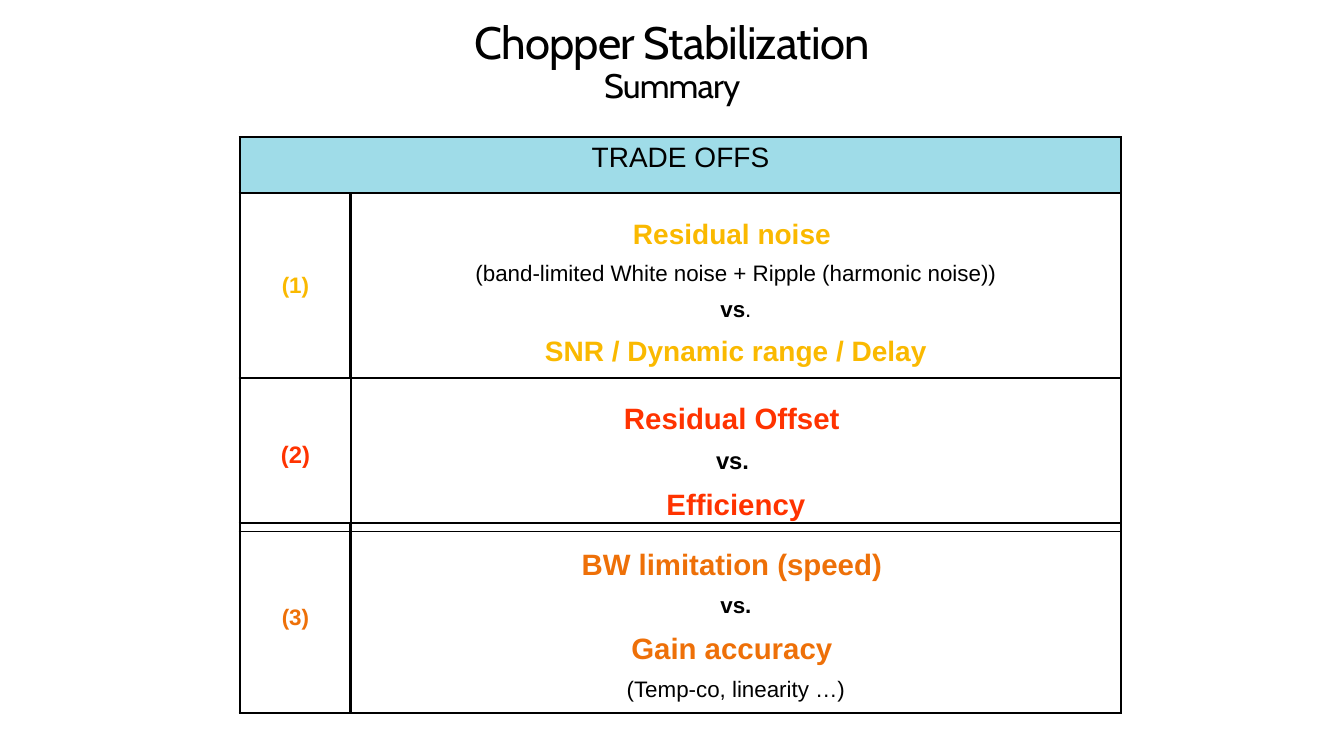
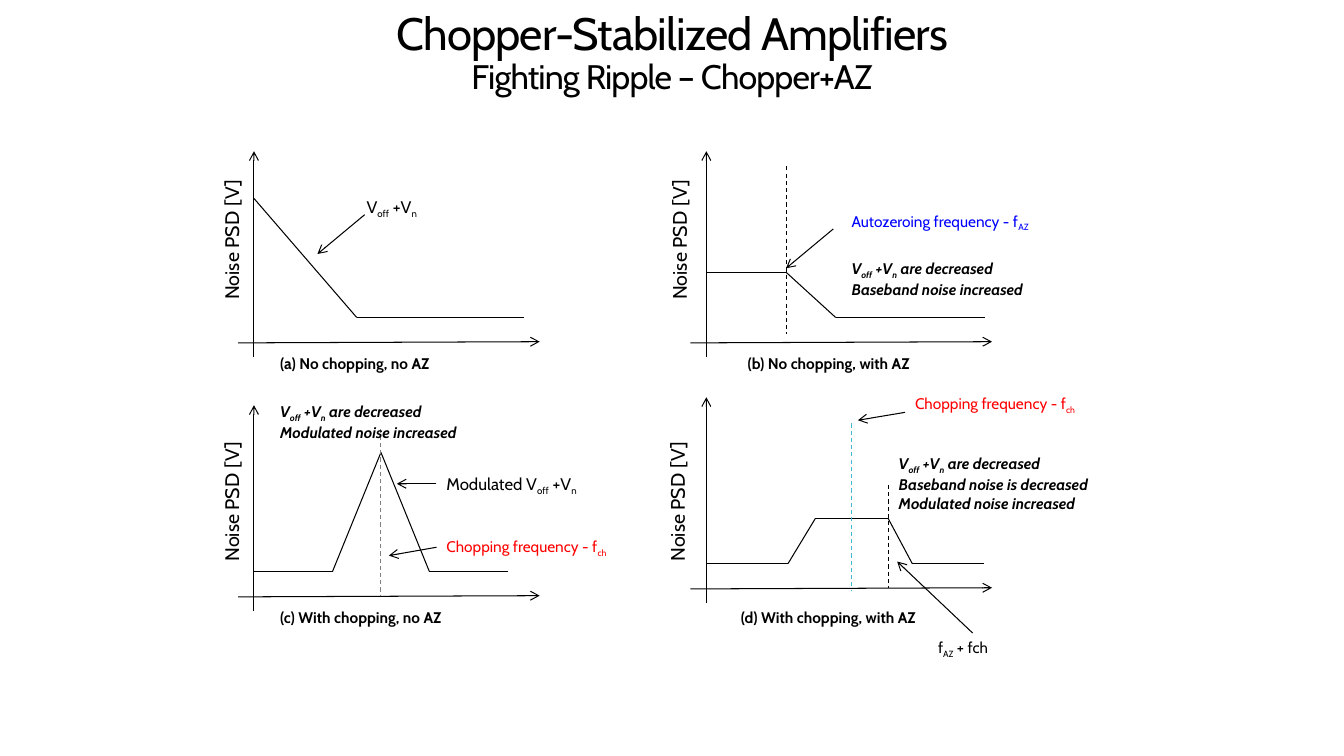
from itertools import pairwise

from lxml import etree
from pptx import Presentation
from pptx import util as u
from pptx.dml.color import RGBColor
from pptx.enum import dml, shapes, text
from pptx.oxml.ns import qn

BLACK, RED, BLUE, TEAL, GREY = "000000", "FF0000", "0000FF", "40BAD2", "808080"
YELLOW, SCARLET, ORANGE, HEADER = "FAB900", "FF3300", "EE7008", "9FDCE8"


def write(tf, s, size=11, color=BLACK, font="Cabin", bold=False, italic=False,
          align=None, leading=None, before=None, spacing=None, join=False):
    for line_text in s.split("\n"):
        p = tf.paragraphs[-1]
        if p.runs and not join:
            p = tf.add_paragraph()
        p.alignment, p.line_spacing = align, leading
        if before:
            p.space_before = u.Pt(before)
        for i, part in enumerate(line_text.split("_")):
            if not part:
                continue
            r = p.add_run()
            r.text = part
            r.font.name, r.font.size = font, u.Pt(size)
            r.font.bold, r.font.italic = bold, italic
            r.font.color.rgb = RGBColor.from_string(color)
            rPr = r._r.get_or_add_rPr()
            if i % 2:
                rPr.set("baseline", "-25000")
            if spacing:
                rPr.set("spc", str(spacing))


def line(s, start, end, color=BLACK, arrow=False, dash=False):
    c = s.shapes.add_connector(shapes.MSO_CONNECTOR.STRAIGHT,
                               *[u.Cm(v) for v in (*start, *end)])
    c.line.color.rgb = RGBColor.from_string(color)
    c.line.width = u.Pt(0.75)
    if dash:
        c.line.dash_style = dml.MSO_LINE.DASH
    spPr = c._element.spPr
    if arrow:
        etree.SubElement(spPr.find(qn("a:ln")), qn("a:tailEnd"), type="arrow")
    etree.SubElement(spPr, qn("a:effectLst"))


prs = Presentation()
prs.slide_width, prs.slide_height = u.Cm(33.87), u.Cm(19.05)
CENTER = text.PP_ALIGN.CENTER
MIDDLE = text.MSO_ANCHOR.MIDDLE

titles = [
    (0.53, "Chopper Stabilization", "Summary"),
    (0.3, "Chopper-Stabilized Amplifiers", "Fighting Ripple – Chopper+AZ"),
]
for top, heading, subheading in titles:
    s = prs.slides.add_slide(prs.slide_layouts[6])
    tf = s.shapes.add_textbox(u.Cm(1.52), u.Cm(top), u.Cm(30.84), u.Cm(2.13)).text_frame
    tf.word_wrap = True
    tf.vertical_anchor = MIDDLE
    write(tf, heading, size=32.4, align=CENTER, leading=0.9, spacing=-60)
    write(tf, subheading, size=24.3, align=CENTER, leading=0.9, spacing=-60)

summary, ripple = prs.slides

trade_offs = [
    (3.45, [1.42, 4.65], "(1)", 16, YELLOW, (1.5, 1), 2.25, [
        ("Residual noise ", 20, YELLOW, True),
        ("(band-limited White noise + Ripple (harmonic noise))", 16, BLACK, False),
        ("vs", 16, BLACK, True),
        (".", 16, BLACK, False),
        ("SNR / Dynamic range / Delay", 20, YELLOW, True)]),
    (9.52, [3.68], "(2)", 17, SCARLET, (1, 1), 1.5, [
        ("Residual Offset ", 21, SCARLET, True),
        ("vs. ", 17, BLACK, True),
        ("Efficiency", 21, SCARLET, True)]),
    (13.18, [4.67], "(3)", 16, ORANGE, (1, 1.5), 2.25, [
        ("BW limitation (speed) ", 21, ORANGE, True),
        ("vs.", 16, BLACK, True),
        ("Gain accuracy ", 21, ORANGE, True),
        ("(Temp-co, linearity …)", 16, BLACK, False)]),
]
for top, heights, number, size, color, (first, last), divider, lines in trade_offs:
    tbl = summary.shapes.add_table(len(heights), 2, u.Cm(6.05), u.Cm(top),
                                   u.Cm(22.2), u.Cm(sum(heights))).table
    tbl.first_row = tbl.horz_banding = False
    tbl.columns[0].width, tbl.columns[1].width = u.Cm(2.79), u.Cm(19.41)
    for row, height in zip(tbl.rows, heights):
        row.height = u.Cm(height)
    body = len(heights) - 1
    for i in range(len(heights)):
        for j in range(2):
            cell = tbl.cell(i, j)
            header = i < body
            inner = 2.25 if header else divider
            widths = {"a:lnL": inner if j else 2.25, "a:lnR": 2.25 if j else inner,
                      "a:lnT": first if i == 0 else 1.5, "a:lnB": 1.5 if header else last}
            tcPr = cell._tc.get_or_add_tcPr()
            for side, width in widths.items():
                ln = etree.SubElement(tcPr, qn(side), w=str(u.Pt(width)))
                fill = etree.SubElement(ln, qn("a:solidFill"))
                etree.SubElement(fill, qn("a:srgbClr"), val=BLACK)
            if header:
                cell.fill.solid()
                cell.fill.fore_color.rgb = RGBColor.from_string(HEADER)
            else:
                cell.fill.background()
                cell.vertical_anchor = MIDDLE
    if body:
        tbl.cell(0, 0).merge(tbl.cell(0, 1))
        write(tbl.cell(0, 0).text_frame, "TRADE OFFS", size=20, font="Arial",
              align=CENTER, before=4)
    write(tbl.cell(body, 0).text_frame, number, size=size, color=color, font="Arial",
          bold=True, align=CENTER, before=3)
    for content, pts, tint, bold in lines:
        write(tbl.cell(body, 1).text_frame, content, size=pts, color=tint, font="Arial",
              bold=bold, align=CENTER, leading=1.45, join=content == ".")

axes = [
    (6.4, 3.81, 5.41, 3.99),
    (17.8, 3.81, 16.69, 3.99),
    (6.4, 10.21, 5.41, 10.59),
    (17.8, 10.01, 16.64, 10.59),
]
for x, top, label_x, label_y in axes:
    line(ripple, (x, top + 5.18), (x, top), arrow=True)
    line(ripple, (x - 0.4, top + 4.83), (x + 7.2, top + 4.8), arrow=True)
    tf = ripple.shapes.add_textbox(u.Cm(label_x), u.Cm(label_y),
                                   u.Cm(1.12), u.Cm(3.81)).text_frame
    tf.word_wrap = True
    tf._txBody.bodyPr.set("vert", "vert270")
    write(tf, "Noise PSD [V]", size=14)

curves = [
    [(6.4, 5), (8.99, 8), (13.21, 8)],
    [(17.8, 6.86), (19.81, 6.86), (21.06, 8), (24.82, 8)],
    [(6.4, 14.4), (8.38, 14.4), (9.6, 11.4), (10.82, 14.4), (12.8, 14.4)],
    [(17.8, 14.2), (19.86, 14.2), (20.55, 13.06), (22.38, 13.06), (22.99, 14.2), (24.79, 14.2)],
]
for curve in curves:
    for start, end in pairwise(curve):
        line(ripple, start, end)

markers = [
    (19.81, 4.19, 8.41, BLACK),
    (9.6, 10.8, 15.01, GREY),
    (21.46, 10.67, 14.86, TEAL),
    (22.4, 12.22, 14.81, BLACK),
]
for x, top, bottom, color in markers:
    line(ripple, (x, top), (x, bottom), color=color, dash=True)

pointers = [
    ((9.19, 5.41), (8, 6.4)),
    ((21, 5.77), (19.81, 6.76)),
    ((11, 12.19), (10, 12.19)),
    ((11, 13.79), (9.8, 14)),
    ((22.81, 10.39), (21.62, 10.59)),
    ((24.51, 15.95), (22.61, 14.15)),
]
for start, end in pointers:
    line(ripple, start, end, arrow=True)

caption = {"bold": True}
remark = {"bold": True, "italic": True}
decreased = "V_off_ +V_n_ are decreased\n"
notes = [
    (8.99, 4.83, 2.79, 0.76, "V_off_ +V_n_", {"size": 12}),
    (11, 11.81, 4.19, 0.76, "Modulated V_off_ +V_n_", {"size": 12}),
    (21.21, 5.21, 5.59, 0.74, "Autozeroing frequency - f_AZ_", {"color": BLUE}),
    (11, 13.41, 5, 0.74, "Chopping frequency - f_ch_", {"color": RED}),
    (22.81, 9.8, 5, 0.74, "Chopping frequency - f_ch_", {"color": RED}),
    (23.39, 15.95, 2.21, 0.74, "f_AZ_ + fch", {}),
    (21.21, 6.4, 6.2, 1.19, decreased + "Baseband noise increased", remark),
    (6.81, 10.01, 5.59, 1.19, decreased + "Modulated noise increased", remark),
    (22.4, 11.33, 6, 1.68,
     decreased + "Baseband noise is decreased\nModulated noise increased", remark),
    (6.81, 8.79, 5, 0.74, "(a) No chopping, no AZ", caption),
    (18.59, 8.79, 5.59, 0.74, "(b) No chopping, with AZ", caption),
    (6.81, 15.19, 5.41, 0.74, "(c) With chopping, no AZ", caption),
    (18.42, 15.19, 5.79, 0.74, "(d) With chopping, with AZ", caption),
]
for x, y, w, h, content, fmt in notes:
    tf = ripple.shapes.add_textbox(u.Cm(x), u.Cm(y), u.Cm(w), u.Cm(h)).text_frame
    tf.word_wrap = True
    write(tf, content, **fmt)

prs.save("out.pptx")
